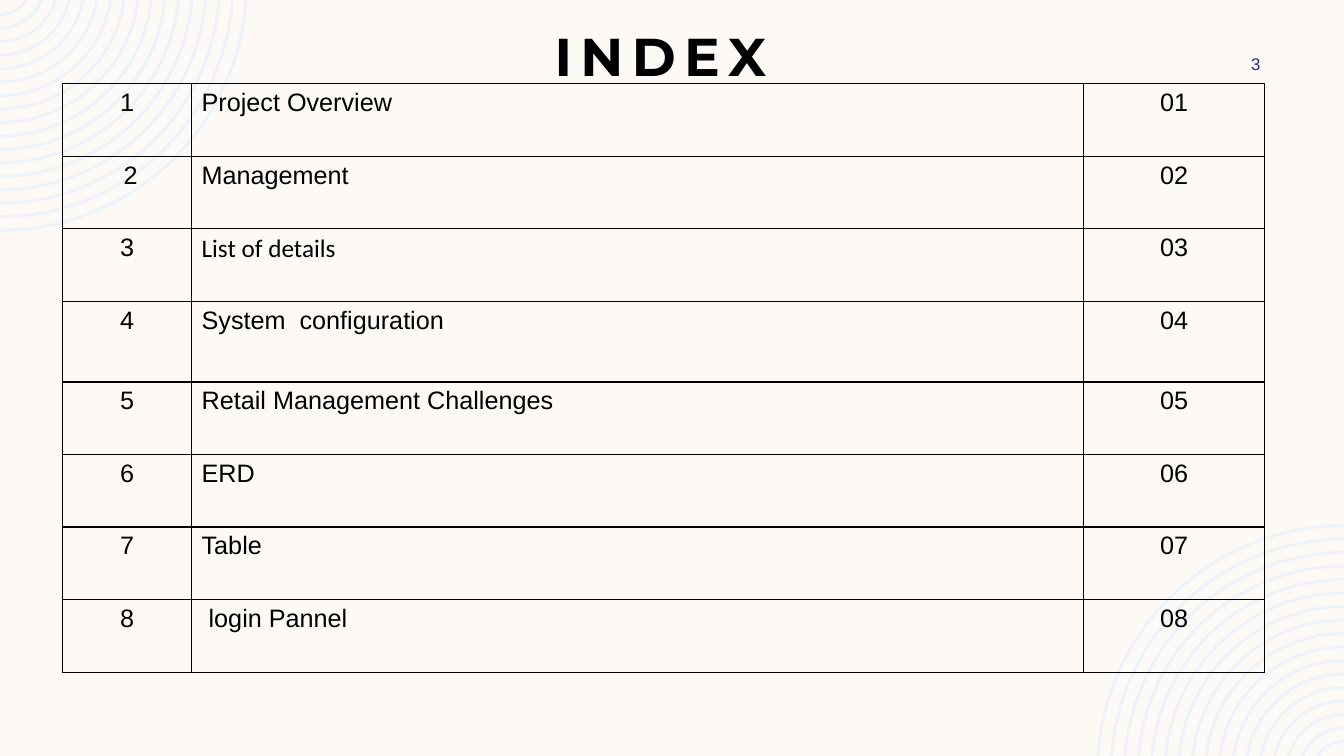
"""Builds the project index slide: a bordered table between two corner ring patterns."""
from math import asin, degrees, sqrt

from lxml.etree import Element, SubElement
from pptx import Presentation
from pptx.dml.color import RGBColor
from pptx.enum.text import MSO_ANCHOR, PP_ALIGN
from pptx.oxml.ns import qn
from pptx.util import Inches, Pt

COLORS = {"paper": "FDFAF6", "rings": "EEF3FA", "ink": "000000", "page": "1F2C8F"}
SLIDE_WIDTH, SLIDE_HEIGHT = 13.33, 7.5

ENTRIES = [
    ("1", "Project Overview", "01"),
    (" 2", "Management", "02"),
    ("3", "List of details", "03"),
    ("4", "System  configuration", "04"),
    ("5", "Retail Management Challenges", "05"),
    ("6", "ERD", "06"),
    ("7", "Table", "07"),
    ("8", " login Pannel", "08"),
]
COLUMN_ALIGNS = [PP_ALIGN.CENTER, PP_ALIGN.LEFT, PP_ALIGN.CENTER]
COLUMN_WIDTHS = [1.28, 8.85, 1.79]
ROW_HEIGHT, TALL_ROW_HEIGHT = 0.72, 0.8
TALL_ENTRY, CALIBRI_ENTRY = "System  configuration", "List of details"
TABLE_LEFT, TABLE_TOP = 0.62, 0.83

RING_COUNT, OUTER_RADIUS, INNER_RADIUS, RING_WIDTH = 17, 2.46, 0.32, 0.03
CENTER_RISE = 0.16

TITLE = {
    "text": "INDEX", "box": (0.83, 0.14, 11.44, 1.23),
    "frame": {"word_wrap": True},
    "paragraph": {"alignment": PP_ALIGN.CENTER, "line_spacing": Pt(48.8)},
    "font": {"name": "Montserrat", "size": Pt(38), "bold": True},
    "color": "ink", "spacing": 6,
}
PAGE_NUMBER = {
    "text": "3", "box": (11.42, 0.5, 1.08, 0.27),
    "frame": {"word_wrap": True, "vertical_anchor": MSO_ANCHOR.MIDDLE, "margin_left": Inches(0.1),
              "margin_top": Inches(0.05), "margin_right": 0, "margin_bottom": Inches(0.05)},
    "paragraph": {"alignment": PP_ALIGN.RIGHT},
    "font": {"name": "Arial", "size": Pt(12)},
    "color": "page", "spacing": 0,
}


def rgb(name):
    return RGBColor.from_string(COLORS[name])


def apply(target, values):
    for attribute, value in values.items():
        setattr(target, attribute, value)


def write(paragraph, text, paragraph_format, font_format, color):
    apply(paragraph, paragraph_format)
    run = paragraph.add_run()
    run.text = text
    apply(run.font, font_format)
    run.font.color.rgb = rgb(color)
    return run


def arc_ends(radius):
    return [(sqrt(radius ** 2 - CENTER_RISE ** 2), 0), (0, radius - CENTER_RISE)]


def bend(segment, radius, start, sweep):
    size = str(Inches(radius))
    angles = {"stAng": str(round(start * 60000)), "swAng": str(round(sweep * 60000))}
    segment.getparent().replace(segment, Element(qn("a:arcTo"), wR=size, hR=size, **angles))


def add_rings(slide, opposite_corner):
    step = (OUTER_RADIUS - INNER_RADIUS) / (RING_COUNT - 1)
    radii = [OUTER_RADIUS - index * step for index in range(RING_COUNT)]
    rings = []
    for radius in radii:
        ring = arc_ends(radius) + arc_ends(radius - RING_WIDTH)[::-1]
        if opposite_corner:
            ring = [(SLIDE_WIDTH - x, SLIDE_HEIGHT - y) for x, y in ring]
        rings.append([(Inches(x), Inches(y)) for x, y in ring])
    builder = slide.shapes.build_freeform(*rings[0][0])
    for ring in rings:
        if ring is not rings[0]:
            builder.move_to(*ring[0])
        builder.add_line_segments(ring[1:], close=True)
    pattern = builder.convert_to_shape()
    pattern.shadow.inherit = False
    pattern.fill.solid()
    pattern.fill.fore_color.rgb = rgb("rings")
    pattern.line.fill.background()

    turn = 180 if opposite_corner else 0
    segments = list(pattern._element.iter(qn("a:lnTo")))
    for radius, outer, inner in zip(radii, segments[::3], segments[2::3]):
        inner_radius = radius - RING_WIDTH
        start = degrees(asin(CENTER_RISE / radius))
        inner_start = degrees(asin(CENTER_RISE / inner_radius))
        bend(outer, radius, turn + start, 90 - start)
        bend(inner, inner_radius, turn + 90, inner_start - 90)


def add_label(slide, label):
    frame = slide.shapes.add_textbox(*map(Inches, label["box"])).text_frame
    apply(frame, label["frame"])
    run = write(frame.paragraphs[0], label["text"], label["paragraph"], label["font"], label["color"])
    if label["spacing"]:
        run.font._element.set("spc", str(label["spacing"] * 100))


def add_borders(cell):
    properties = cell._tc.get_or_add_tcPr()
    for side in ("a:lnL", "a:lnR", "a:lnT", "a:lnB"):
        border = SubElement(properties, qn(side), w=str(Pt(1)))
        SubElement(SubElement(border, qn("a:solidFill")), qn("a:srgbClr"), val=COLORS["ink"])


def add_index(slide):
    heights = [TALL_ROW_HEIGHT if entry[1] == TALL_ENTRY else ROW_HEIGHT for entry in ENTRIES]
    bounds = (TABLE_LEFT, TABLE_TOP, sum(COLUMN_WIDTHS), sum(heights))
    table = slide.shapes.add_table(len(ENTRIES), len(COLUMN_WIDTHS), *map(Inches, bounds)).table
    apply(table, {"first_row": False, "horz_banding": False})
    for column, width in zip(table.columns, COLUMN_WIDTHS):
        column.width = Inches(width)
    for row, height, entry in zip(table.rows, heights, ENTRIES):
        row.height = Inches(height)
        for cell, text, align in zip(row.cells, entry, COLUMN_ALIGNS):
            font = {"name": "Calibri" if text == CALIBRI_ENTRY else "Arial", "size": Pt(18)}
            alignment = PP_ALIGN.JUSTIFY if text == TALL_ENTRY else align
            write(cell.text_frame.paragraphs[0], text, {"alignment": alignment}, font, "ink")
            add_borders(cell)
            cell.fill.background()


def main():
    deck = Presentation()
    apply(deck, {"slide_width": Inches(SLIDE_WIDTH), "slide_height": Inches(SLIDE_HEIGHT)})
    slide = deck.slides.add_slide(deck.slide_layouts[6])
    slide.background.fill.solid()
    slide.background.fill.fore_color.rgb = rgb("paper")
    for opposite_corner in (False, True):
        add_rings(slide, opposite_corner)
    for label in (TITLE, PAGE_NUMBER):
        add_label(slide, label)
    add_index(slide)
    deck.save("out.pptx")


if __name__ == "__main__":
    main()
